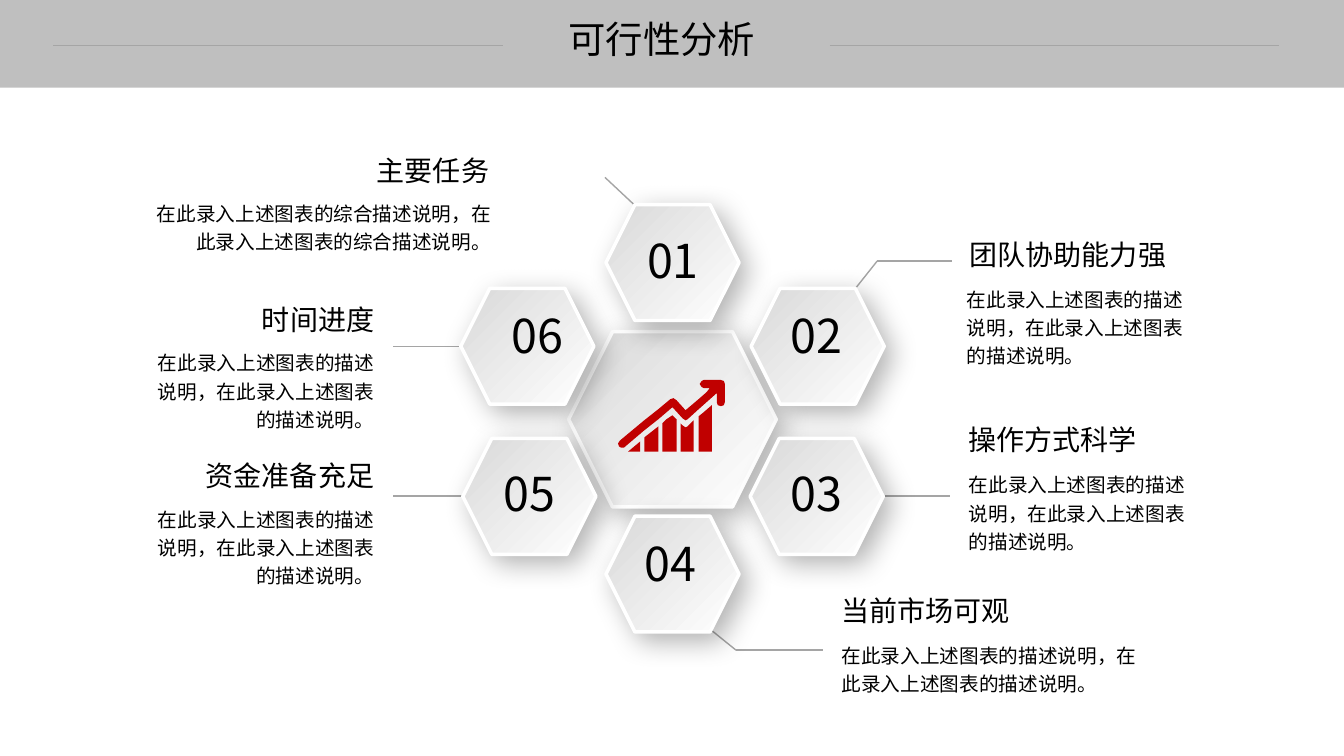
from lxml.etree import SubElement
from pptx import Presentation
from pptx.dml.color import RGBColor
from pptx.enum.shapes import MSO_CONNECTOR, MSO_SHAPE
from pptx.enum.text import MSO_ANCHOR, MSO_AUTO_SIZE, PP_ALIGN
from pptx.oxml.ns import qn
from pptx.util import Pt

PX = 9144  # 100 px to the inch
THEME = {
    "font": "Noto Sans CJK SC",
    "text": RGBColor(0x00, 0x00, 0x00),
    "band": RGBColor(0xBF, 0xBF, 0xBF),
    "rule": RGBColor(0xA5, 0xA5, 0xA5),
    "accent": RGBColor(0xC0, 0x00, 0x00),
    "grad": (RGBColor(0xD9, 0xD9, 0xD9), RGBColor(0xFF, 0xFF, 0xFF)),
    "edge": RGBColor(0xFF, 0xFF, 0xFF),
    "title": 26.7, "number": 33.3, "heading": 20, "body": 14,
}
LEFT, CENTER, RIGHT = PP_ALIGN.LEFT, PP_ALIGN.CENTER, PP_ALIGN.RIGHT

prs = Presentation()
prs.slide_width, prs.slide_height = 1333 * PX, 750 * PX
s = prs.slides.add_slide(prs.slide_layouts[6])


def add_text(box, text, size, align, spacing, inset=(0, 0), wrap=True,
             anchor=MSO_ANCHOR.TOP):
    tf = s.shapes.add_textbox(*[v * PX for v in box]).text_frame
    tf.word_wrap = wrap
    tf.auto_size = MSO_AUTO_SIZE.SHAPE_TO_FIT_TEXT
    tf.vertical_anchor = anchor
    tf.margin_left = tf.margin_right = inset[0] * PX
    tf.margin_top = tf.margin_bottom = inset[1] * PX
    p = tf.paragraphs[0]
    p.alignment, p.line_spacing = align, spacing
    r = p.add_run()
    r.text = text
    r.font.size, r.font.name = Pt(THEME[size]), THEME["font"]
    r.font.color.rgb = THEME["text"]
    SubElement(r.font._element, qn("a:ea"), typeface=THEME["font"])


def add_hexagon(x, y, w, h):
    sp = s.shapes.add_shape(MSO_SHAPE.HEXAGON, x * PX, y * PX, w * PX, h * PX)
    sp.fill.gradient()
    sp.fill.gradient_angle = 315
    for stop, color, pos in zip(sp.fill.gradient_stops, THEME["grad"], (0, 1)):
        stop.color.rgb, stop.position = color, pos
    sp.line.color.rgb, sp.line.width = THEME["edge"], Pt(2.5)
    # Soft shadow towards the lower right
    effects = SubElement(sp._element.spPr, qn("a:effectLst"))
    shadow = SubElement(effects, qn("a:outerShdw"), blurRad=str(Pt(20)),
                        dist=str(Pt(8)), dir="2700000", algn="tl", rotWithShape="0")
    black = SubElement(shadow, qn("a:srgbClr"), val="000000")
    SubElement(black, qn("a:alpha"), val="30000")


# Header band
band = s.shapes.add_shape(MSO_SHAPE.RECTANGLE, 0, 0, 1333 * PX, 87 * PX)
band.shadow.inherit = False
band.fill.solid()
band.fill.fore_color.rgb = THEME["band"]
band.line.fill.background()
add_text((541, 16, 231, 55), "可行性分析", "title", CENTER, 1.0)

# Centre hexagon with the growth icon
add_hexagon(564, 329, 206, 174)
bars = [
    [(635, 448), (635, 438), (623, 448)],
    [(653, 448), (653, 423), (639, 434), (639, 448)],
    [(671, 448), (671, 416), (667, 412), (661, 416), (657, 420), (657, 448)],
    [(688, 448), (688, 417), (682, 423), (680, 424), (677, 422), (675, 420), (675, 448)],
    [(706, 448), (706, 402), (698, 409), (693, 413), (693, 448)],
]
arrow = [
    (719, 381), (718, 378), (715, 377), (698, 377), (696, 378), (694, 381),
    (696, 384), (698, 385), (704, 385), (701, 389), (693, 396), (680, 407),
    (671, 397), (668, 395), (665, 396), (653, 406), (639, 417), (615, 437),
    (613, 440), (614, 443), (616, 444), (619, 444), (639, 427), (653, 416),
    (667, 404), (677, 415), (680, 417), (682, 416), (693, 406), (711, 390),
    (711, 399), (712, 402), (715, 403), (718, 402), (719, 399),
]
for outline in bars + [arrow]:
    fb = s.shapes.build_freeform(*outline[0], scale=PX)
    fb.add_line_segments(outline[1:], close=True)
    sp = fb.convert_to_shape()
    sp.shadow.inherit = False
    sp.fill.solid()
    sp.fill.fore_color.rgb = THEME["accent"]
    sp.line.fill.background()

# Header rules and leader lines: line width, then the points they join
leaders = [
    (0.75, (823, 45), (1269, 45)),
    (0.75, (53, 45), (499, 45)),
    (1, (631, 205), (600, 176)),
    (1, (847, 288), (870, 259), (944, 259)),
    (1, (942, 492), (875, 492)),
    (1, (704, 624), (730, 645), (816, 645)),
    (1, (459, 492), (390, 492)),
    (1, (457, 344), (390, 344)),
]
for width, *points in leaders:
    for start, end in zip(points, points[1:]):
        cx = s.shapes.add_connector(MSO_CONNECTOR.STRAIGHT,
                                    *[v * PX for v in start + end])
        cx.line.color.rgb, cx.line.width = THEME["rule"], Pt(width)
        SubElement(cx._element.spPr, qn("a:effectLst"))

# Numbered hexagons: hexagon corner, number box, line spacing
numbers = [
    ("02", (745, 286), (765, 305, 90, 61), 0.9),
    ("01", (601, 203), (619, 216, 97, 72), 1.2),
    ("03", (744, 435), (759, 447, 101, 72), 1.2),
    ("05", (459, 435), (480, 447, 90, 72), 1.2),
    ("06", (457, 286), (477, 305, 112, 61), 0.9),
    ("04", (601, 512), (620, 531, 90, 61), 0.9),
]
for number, corner, box, spacing in numbers:
    add_hexagon(*corner, 132, 115)
    add_text(box, number, "number", CENTER, spacing, anchor=MSO_ANCHOR.MIDDLE)

# Headings with their descriptions
summary = "在此录入上述图表的综合描述说明，在此录入上述图表的综合描述说明。"
detail = "在此录入上述图表的描述说明，在此录入上述图表的描述说明。"
topics = [
    ("主要任务", (363, 151, 132, 40), summary, (141, 191, 356, 67), RIGHT),
    ("时间进度", (249, 299, 132, 40), detail, (145, 339, 236, 95), RIGHT),
    ("资金准备充足", (193, 454, 188, 40), detail, (145, 494, 236, 95), RIGHT),
    ("团队协助能力强", (952, 234, 217, 40), detail, (949, 276, 241, 95), LEFT),
    ("操作方式科学", (951, 418, 188, 40), detail, (951, 460, 241, 95), LEFT),
    ("当前市场可观", (825, 588, 188, 40), detail, (825, 629, 319, 67), LEFT),
]
for heading, heading_box, body, body_box, align in topics:
    add_text(heading_box, heading, "heading", align, 0.9, (10, 5), wrap=False)
    add_text(body_box, body, "body", align, 1.2, (10, 5))

prs.save("out.pptx")
